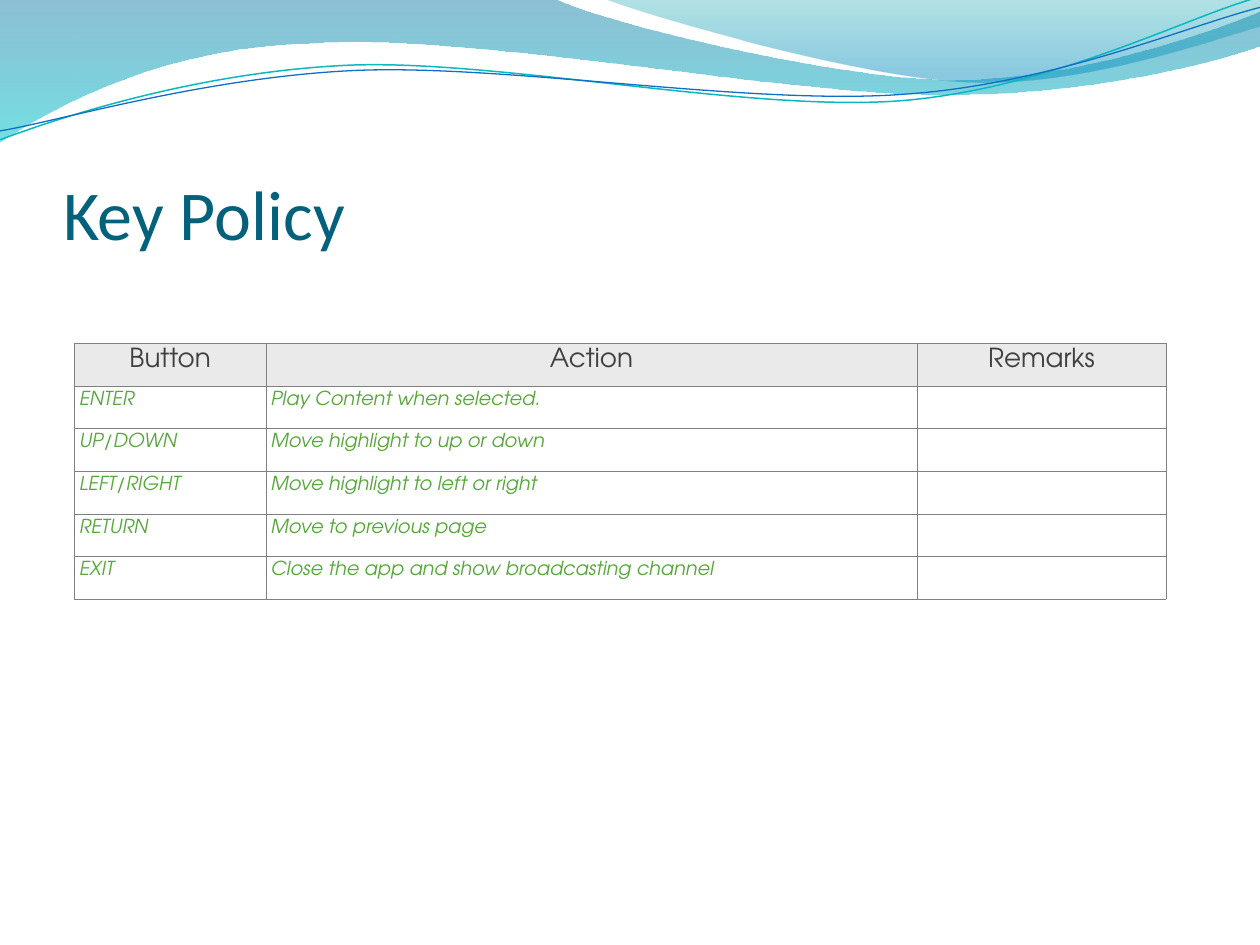
from lxml.etree import SubElement
from pptx import Presentation
from pptx.dml.color import RGBColor
from pptx.enum.text import MSO_ANCHOR as Anchor, PP_ALIGN as Align
from pptx.oxml.ns import qn
from pptx.util import Cm, Pt

TITLE_BLUE = RGBColor(0x04, 0x61, 0x7B)
DEEP_BLUE = RGBColor(0x00, 0x74, 0xA1)
TEAL = RGBColor(0x00, 0xC6, 0xCF)
SEA_GREEN = RGBColor(0x00, 0xA1, 0xA9)
SKY_BLUE = RGBColor(0x00, 0x8B, 0xBF)
LINE_TEAL = RGBColor(0x0A, 0xB8, 0xBF)
LINE_BLUE = RGBColor(0x0F, 0x6F, 0xC6)
HEADER_GREY = RGBColor(0xEA, 0xEA, 0xEA)
HEADER_TEXT = RGBColor(0x40, 0x40, 0x40)
BODY_GREEN = RGBColor(0x55, 0xA8, 0x39)
BORDER_GREY = RGBColor(0x80, 0x80, 0x80)
WHITE = RGBColor(0xFF, 0xFF, 0xFF)

TITLE_FONT = "Calibri"
TABLE_FONT = "TeX Gyre Adventor"
CURVE_TILT = -2.7

# Outlines in cm: a step of one point is straight, of three points a Bézier curve
BACK_WAVE = [
    [(0, 0)],
    [(11.18, -0.03)],
    [(12.09, 0.43), (16.87, 1.6), (19.25, 1.6)],
    [(21.67, 1.6), (24.33, 0.66), (25.4, 0.23)],
    [(25.43, 0.91)],
    [(24.97, 1.12), (22.1, 1.93), (18.95, 1.91)],
    [(15.8, 1.91), (9.7, 0.71), (6.53, 0.86)],
    [(3.28, 0.91), (1.17, 2.11), (-0.03, 2.87)],
    [(0, 0)],
]
FRONT_WAVE = [
    [(12.17, -0.03)],
    [(12.93, 0.28), (17.32, 1.57), (19.53, 1.65)],
    [(21.74, 1.75), (24.41, 0.81), (25.4, 0.53)],
    [(25.4, 0)],
    [(12.17, -0.03)],
]
# The two thin curves are given level and then tilted
TEAL_CURVE = [
    [(-0.05, 2.22)],
    [(1.19, 1.82), (4.01, 1.04), (7.05, 1.05)],
    [(10.05, 1.07), (15.02, 2.37), (18.08, 2.29)],
    [(21.13, 2.2), (23.86, 0.91), (25.4, 0.55)],
]
BLUE_CURVE = [
    [(-0.04, 2.04)],
    [(1.16, 1.9), (4.17, 1.15), (7.2, 1.16)],
    [(10.25, 1.18), (15.13, 2.25), (18.19, 2.16)],
    [(21.21, 2.1), (23.93, 1.06), (25.45, 0.75)],
]

KEY_ROWS = [
    ("Button", "Action", "Remarks"),
    ("ENTER", "Play Content when selected.", ""),
    ("UP/DOWN", "Move highlight to up or down", ""),
    ("LEFT/RIGHT", "Move highlight to left or right", ""),
    ("RETURN", "Move to previous page", ""),
    ("EXIT", "Close the app and show broadcasting channel", ""),
]


def bend_segments(shape, outline):
    """Join each three straight segments of a curved step into one Bézier."""
    geometry = next(shape._element.iter(qn("a:path")))
    segments = iter(geometry.findall(qn("a:lnTo")))
    for step in outline[1:]:
        first, *others = [next(segments) for _ in step]
        if others:
            curve = geometry.makeelement(qn("a:cubicBezTo"), {})
            first.addprevious(curve)
            for segment in (first, *others):
                curve.append(segment[0])
                geometry.remove(segment)


def add_outline(slide, left, top, outline, close):
    points = [(left + Cm(x), top + Cm(y)) for step in outline for x, y in step]
    builder = slide.shapes.build_freeform(*points[0])
    builder.add_line_segments(points[1:], close=close)
    shape = builder.convert_to_shape()
    shape.shadow.inherit = False
    bend_segments(shape, outline)
    return shape


def add_wave(slide, left, top, outline, stops):
    shape = add_outline(slide, left, top, outline, close=True)
    shape.line.fill.background()
    shape.fill.gradient()
    shape.fill.gradient_angle = 270
    for stop, (position, color, _) in zip(shape.fill.gradient_stops, stops):
        stop.position = position
        stop.color.rgb = color
    colors = shape._element.spPr.iter(qn("a:srgbClr"))
    for element, (_, _, opacity) in zip(colors, stops):
        SubElement(element, qn("a:alpha"), val=str(opacity * 1000))


def add_curve(slide, left, top, outline, color, width):
    shape = add_outline(slide, left, top, outline, close=False)
    shape.rotation = CURVE_TILT
    shape.fill.background()
    shape.line.color.rgb = color
    shape.line.width = Pt(width)


def add_wave_band(slide, left, top):
    add_wave(slide, left, top, BACK_WAVE, [(0, DEEP_BLUE, 45), (1, TEAL, 55)])
    add_wave(slide, left, top, FRONT_WAVE, [(0, SEA_GREEN, 30), (0.8, SKY_BLUE, 45)])
    add_curve(slide, left, top, TEAL_CURVE, LINE_TEAL, 0.85)
    add_curve(slide, left, top, BLUE_CURVE, LINE_BLUE, 0.75)


def set_title(slide, left, top, width, height):
    title = slide.shapes.title
    title.left, title.top, title.width, title.height = left, top, width, height
    frame = title.text_frame
    frame.text = "Key Policy"
    frame.vertical_anchor = Anchor.BOTTOM
    frame.margin_left = frame.margin_right = frame.margin_bottom = 0
    paragraph = frame.paragraphs[0]
    paragraph.alignment = Align.LEFT
    paragraph.font.name = TITLE_FONT
    paragraph.font.size = Pt(40)
    paragraph.font.color.rgb = TITLE_BLUE


def add_borders(cell):
    properties = cell._tc.get_or_add_tcPr()
    for i, side in enumerate(("lnL", "lnR", "lnT", "lnB")):
        line = properties.makeelement(qn(f"a:{side}"), {"w": str(Pt(0.25))})
        fill = SubElement(line, qn("a:solidFill"))
        SubElement(fill, qn("a:srgbClr"), val=str(BORDER_GREY))
        properties.insert(i, line)


def format_cell(cell, text, is_header):
    cell.text = text
    cell.margin_left = cell.margin_right = Cm(0.1)
    cell.margin_top = cell.margin_bottom = Cm(0.1)
    cell.fill.solid()
    cell.fill.fore_color.rgb = HEADER_GREY if is_header else WHITE
    add_borders(cell)
    paragraph = cell.text_frame.paragraphs[0]
    paragraph.alignment = Align.CENTER if is_header else Align.LEFT
    font = paragraph.font
    font.name = TABLE_FONT
    font.size = Pt(15 if is_header else 11)
    font.bold = False
    font.italic = not is_header
    font.color.rgb = HEADER_TEXT if is_header else BODY_GREEN


def add_key_table(slide, left, top, width, height):
    table = slide.shapes.add_table(
        len(KEY_ROWS), len(KEY_ROWS[0]), left, top, width, height).table
    table.horz_banding = False
    # The action column takes what the outer columns leave
    button_width, remarks_width = Cm(3.86), Cm(5.01)
    widths = (button_width, width - button_width - remarks_width, remarks_width)
    for column, column_width in zip(table.columns, widths):
        column.width = column_width
    for r, row in enumerate(KEY_ROWS):
        for c, text in enumerate(row):
            format_cell(table.cell(r, c), text, is_header=r == 0)


def main():
    presentation = Presentation()
    presentation.slide_width, presentation.slide_height = Cm(25.4), Cm(19.05)
    slide = presentation.slides.add_slide(presentation.slide_layouts[5])
    add_wave_band(slide, 0, 0)
    set_title(slide, Cm(1.27), Cm(1.96), Cm(22.86), Cm(3.17))
    add_key_table(slide, Cm(1.5), Cm(6.92), Cm(22), Cm(5.16))
    presentation.save("out.pptx")


if __name__ == "__main__":
    main()
